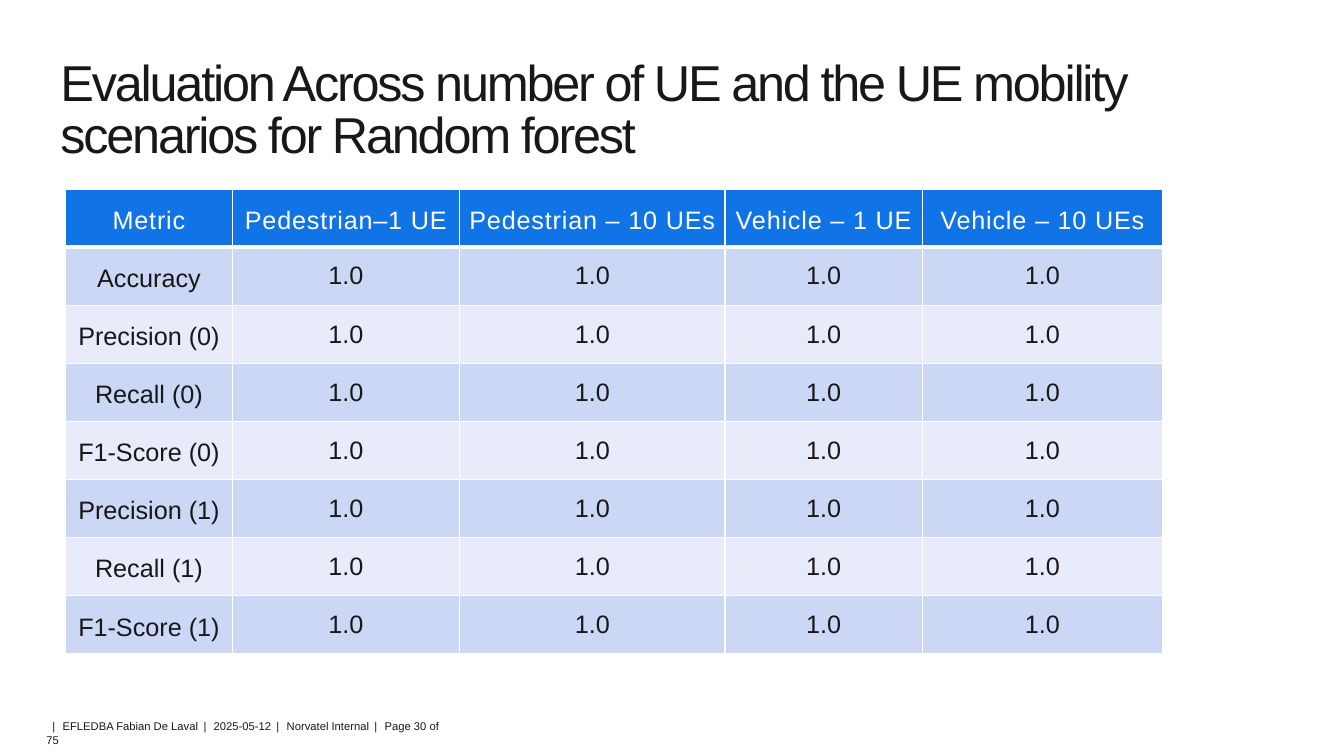
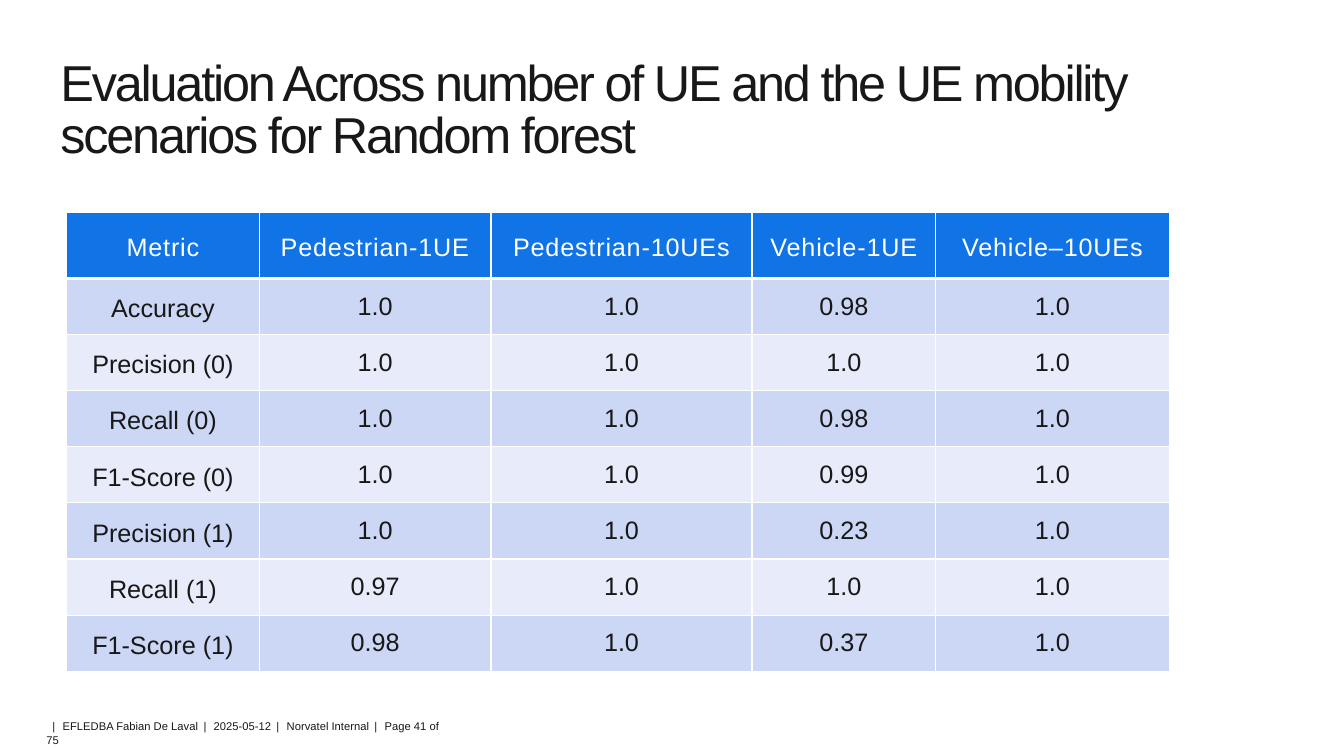
import dataclasses

import pptx
import pptx.dml.color
import pptx.enum.text
import pptx.oxml
import pptx.oxml.ns
import pptx.util

Pt = pptx.util.Pt


# Theme: every colour and type size
@dataclasses.dataclass(frozen=True)
class Theme:
    font: str = "Arial"
    ink: str = "181818"
    white: str = "FFFFFF"
    head: str = "1174E6"
    bands: tuple = ("CCD6F5", "E7EBFA")
    title: int = 36
    body: int = 18
    foot: int = 8


THEME = Theme()
TITLE = "Evaluation Across number of UE and the UE mobility scenarios for Random forest"
LABELS = ["Accuracy", "Precision (0)", "Recall (0)", "F1-Score (0)",
          "Precision (1)", "Recall (1)", "F1-Score (1)"]
ONES = ["1.0"] * 4

# Content of the two slides
SLIDES = [
    dict(page=30, left=47, top=135, first=41.5, rest=41.5,
         widths=[118.8, 162.7, 189.4, 141.1, 171.4],
         heads=["Metric", "Pedestrian–1 UE", "Pedestrian – 10 UEs",
                "Vehicle – 1 UE", "Vehicle – 10 UEs"],
         values=[ONES] * 7),
    dict(page=41, left=47.7, top=152, first=46.9, rest=40.1,
         widths=[137.4, 165.6, 186.5, 131.2, 166.8],
         heads=["Metric", "Pedestrian-1UE", "Pedestrian-10UEs",
                "Vehicle-1UE", "Vehicle–10UEs"],
         values=[["1.0", "1.0", "0.98", "1.0"],
                 ONES,
                 ["1.0", "1.0", "0.98", "1.0"],
                 ["1.0", "1.0", "0.99", "1.0"],
                 ["1.0", "1.0", "0.23", "1.0"],
                 ["0.97", "1.0", "1.0", "1.0"],
                 ["0.98", "1.0", "0.37", "1.0"]]),
]


def tint(code):
    return pptx.dml.color.RGBColor.from_string(code)


def add_run(para, text, size, color=THEME.ink, track=0):
    """Add one run; track is the letter spacing in points."""
    run = para.add_run()
    run.text = text
    run.font.name = THEME.font
    run.font.size = Pt(size)
    run.font.color.rgb = tint(color)
    if track:
        run._r.get_or_add_rPr().set("spc", str(round(track * 100)))


def add_box(slide, left, top, width, height, pad=(0, 0)):
    """Add a wrapped text box and return its first paragraph."""
    frame = slide.shapes.add_textbox(Pt(left), Pt(top), Pt(width), Pt(height)).text_frame
    frame.word_wrap = True
    frame.margin_left = frame.margin_right = Pt(pad[0])
    frame.margin_top = frame.margin_bottom = Pt(pad[1])
    return frame.paragraphs[0]


def add_title(slide):
    para = add_box(slide, 37.4, 40.4, 836, 82, (5.8, 2.9))
    para.line_spacing = 0.85
    add_run(para, TITLE, THEME.title, track=-1.6)


def add_foot(slide, page):
    para = add_box(slide, 33.1, 514.1, 283, 9.4)
    para._p.get_or_add_pPr().set("indent", str(Pt(4.4)))
    parts = ["EFLEDBA Fabian De Laval", "2025-05-12", "Norvatel Internal",
             f"Page {page} of 75"]
    for i, part in enumerate(parts):
        # Wide tracking opens the gap around each bar
        add_run(para, " | " if i else "| ", THEME.foot, track=1.48)
        add_run(para, part, THEME.foot)


def add_lines(cell, **sides):
    """Draw white cell borders, each side given as a width in points."""
    props = cell._tc.get_or_add_tcPr()
    for side in "LRTB":
        props.append(pptx.oxml.parse_xml(
            f'<a:ln{side} {pptx.oxml.ns.nsdecls("a")} w="{Pt(sides.get(side, 1))}">'
            f'<a:solidFill><a:srgbClr val="{THEME.white}"/></a:solidFill></a:ln{side}>'))


def fill_cell(cell, text, row, col):
    head = row == 0
    add_lines(cell, T=3 if row == 1 else 1, B=3 if head else 1)
    cell.fill.solid()
    cell.fill.fore_color.rgb = tint(THEME.head if head else THEME.bands[(row - 1) % 2])
    cell.vertical_anchor = pptx.enum.text.MSO_ANCHOR.MIDDLE
    if head or col == 0:
        cell.margin_left = cell.margin_right = Pt(5)
        cell.margin_top, cell.margin_bottom = Pt(6.5), Pt(2.9)
    para = cell.text_frame.paragraphs[0]
    para.alignment = pptx.enum.text.PP_ALIGN.CENTER
    add_run(para, text, THEME.body, THEME.white if head else THEME.ink,
            0.6 if head else 0)


def add_grid(slide, left, top, first, rest, widths, heads, values):
    rows = [heads] + [[label] + line for label, line in zip(LABELS, values)]
    highs = [first] + [rest] * len(values)
    grid = slide.shapes.add_table(len(rows), len(heads), Pt(left), Pt(top),
                                  Pt(sum(widths)), Pt(sum(highs))).table
    grid.horz_banding = False
    for col, width in zip(grid.columns, widths):
        col.width = Pt(width)
    for r, (line, high) in enumerate(zip(rows, highs)):
        grid.rows[r].height = Pt(high)
        for c, text in enumerate(line):
            fill_cell(grid.cell(r, c), text, r, c)


def main():
    deck = pptx.Presentation()
    deck.slide_width, deck.slide_height = Pt(960), Pt(540)
    for data in SLIDES:
        slide = deck.slides.add_slide(deck.slide_layouts[6])
        page, *_ = data.values()
        add_foot(slide, page)
        add_title(slide)
        add_grid(slide, **{key: val for key, val in data.items() if key != "page"})
    deck.save("out.pptx")


if __name__ == "__main__":
    main()
